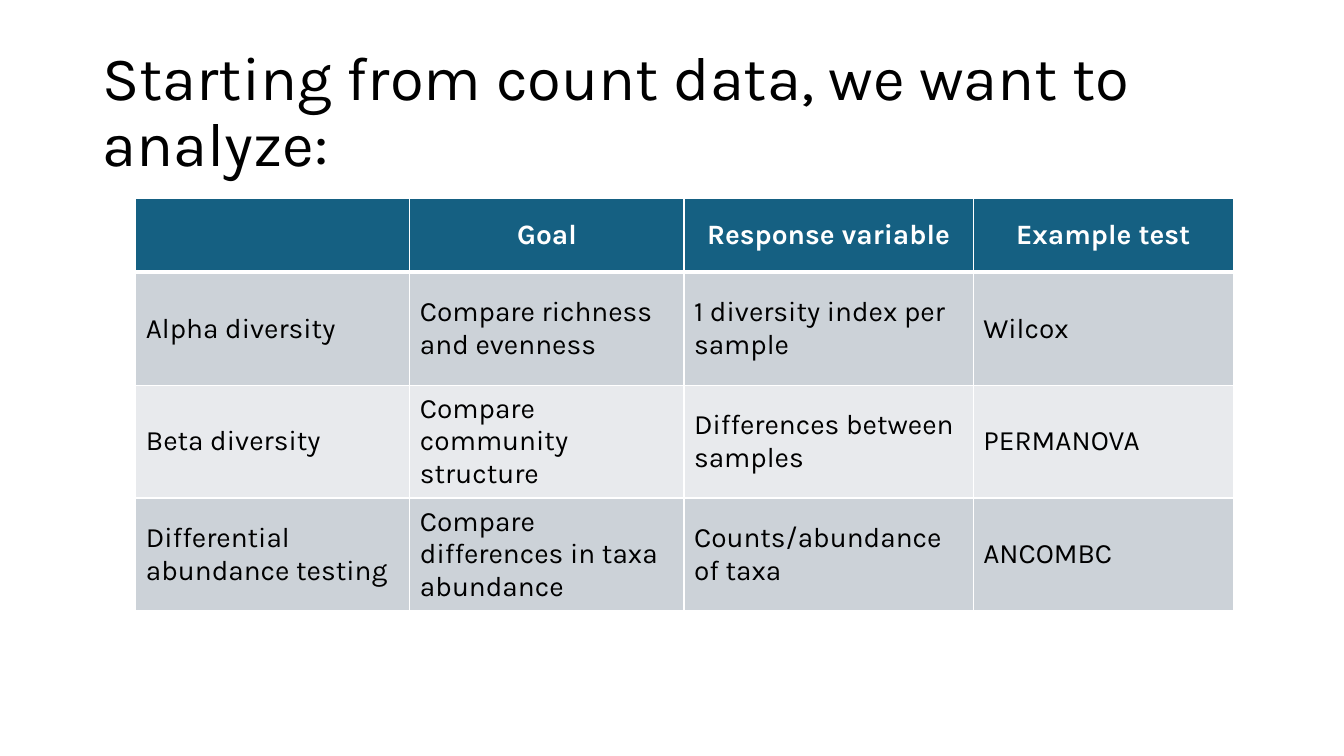
from lxml.etree import SubElement
from pptx import Presentation
from pptx.dml.color import RGBColor
from pptx.enum.text import MSO_ANCHOR as Anchor, MSO_AUTO_SIZE as AutoSize, PP_ALIGN as Align
from pptx.oxml.ns import qn
from pptx.util import Pt

COLORS = {"header": "156082", "odd": "CCD2D8", "even": "E8EAED",
          "white": "FFFFFF", "black": "000000"}


def write_text(frame, text, size=20, color="black", bold=False, align=Align.LEFT, spacing=1.0):
    paragraph = frame.paragraphs[0]
    paragraph.alignment = align
    paragraph.line_spacing = spacing
    run = paragraph.add_run()
    run.text = text
    run.font.name = "Karla"
    run.font.size = Pt(size)
    run.font.bold = bold
    run.font.color.rgb = RGBColor.from_string(COLORS[color])


def add_borders(cell, **widths):
    properties = cell._tc.get_or_add_tcPr()
    for side, width in widths.items():
        line = SubElement(properties, qn(f"a:ln{side}"), w=str(Pt(width)))
        fill = SubElement(line, qn("a:solidFill"))
        SubElement(fill, qn("a:srgbClr"), val=COLORS["white"])


presentation = Presentation()
presentation.slide_width, presentation.slide_height = Pt(960), Pt(540)
slide = presentation.slides.add_slide(presentation.slide_layouts[5])

# Title
title = slide.shapes.title
title.left, title.top, title.width, title.height = Pt(66), Pt(28.75), Pt(828), Pt(104.4)
title.text_frame.word_wrap = True
title.text_frame.auto_size = AutoSize.NONE
title.text_frame.vertical_anchor = Anchor.MIDDLE
write_text(title.text_frame, "Starting from count data, we want to analyze:", size=44, spacing=0.9)

# Analysis table
analyses = [
    ["", "Goal", "Response variable", "Example test"],
    ["Alpha diversity", "Compare richness and evenness", "1 diversity index per sample", "Wilcox"],
    ["Beta diversity", "Compare community structure", "Differences between samples", "PERMANOVA"],
    ["Differential abundance testing", "Compare differences in taxa abundance",
     "Counts/abundance of taxa", "ANCOMBC"],
]
column_widths = [195.8, 195.8, 206.6, 185.8]
row_heights = [52.5] + [80.65] * 3
table = slide.shapes.add_table(len(analyses), len(column_widths), Pt(97), Pt(142),
                               Pt(sum(column_widths)), Pt(sum(row_heights))).table
for column, width in zip(table.columns, column_widths):
    column.width = Pt(width)

for r, (analysis, height) in enumerate(zip(analyses, row_heights)):
    table.rows[r].height = Pt(height)
    is_header = r == 0
    row_fill = "header" if is_header else "odd" if r % 2 else "even"
    for c, text in enumerate(analysis):
        cell = table.cell(r, c)
        cell.vertical_anchor = Anchor.MIDDLE
        # A thicker rule separates the header from the body
        add_borders(cell, L=1, R=1, T=3 if r == 1 else 1, B=3 if is_header else 1)
        cell.fill.solid()
        cell.fill.fore_color.rgb = RGBColor.from_string(COLORS[row_fill])
        if text:
            write_text(cell.text_frame, text, color="white" if is_header else "black",
                       bold=is_header, align=Align.CENTER if is_header else Align.LEFT)

presentation.save("out.pptx")
